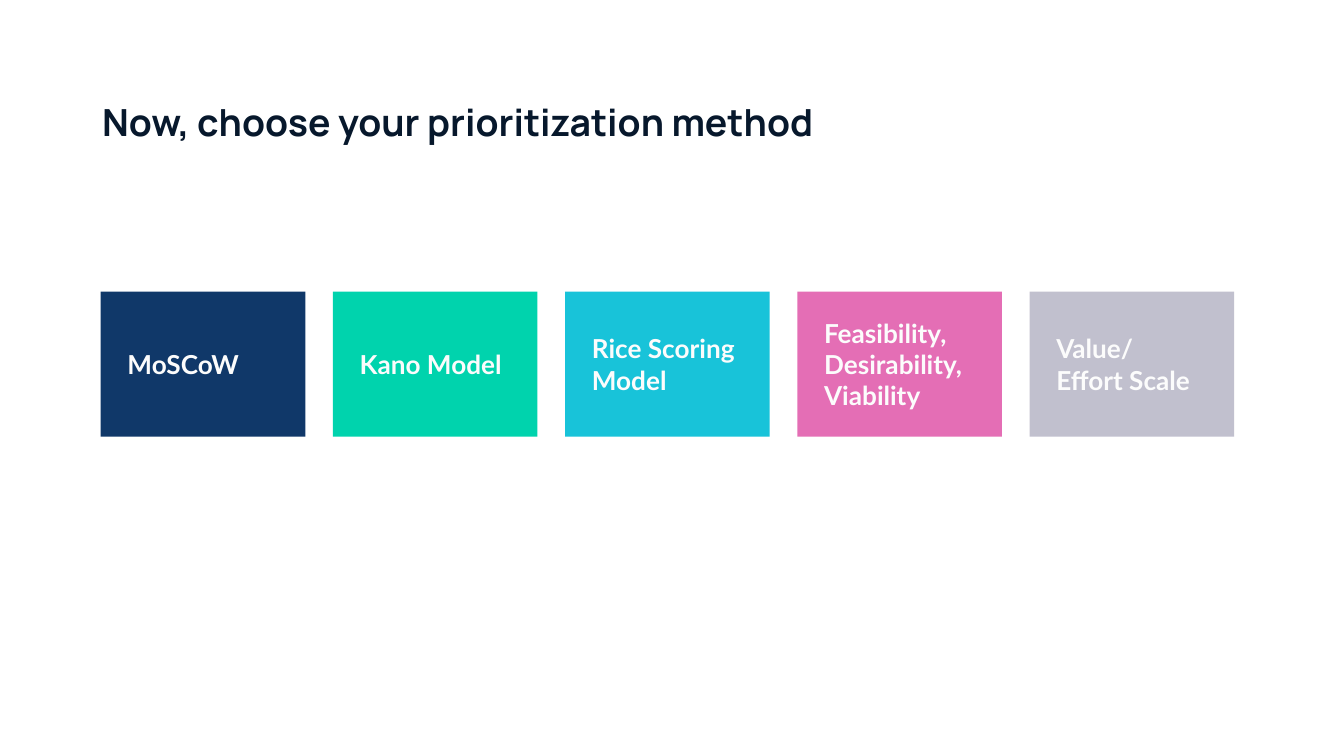
from pptx import Presentation
from pptx.dml.color import RGBColor
from pptx.enum import shapes, text
from pptx.util import Pt

HUES = {
    "ink": "07182C", "pale": "FCFCFC", "navy": "103869", "green": "00D3AD",
    "cyan": "18C3D9", "pink": "E46EB5", "grey": "C1C0CE",
}
HEAD = {"name": "Manrope", "size": Pt(20), "bold": True}
LABEL = {"name": "Lato", "size": Pt(14), "bold": True}
CARDS = [
    ("navy", ["MoSCoW"]),
    ("green", ["Kano Model"]),
    ("cyan", ["Rice Scoring Model"]),
    ("pink", ["Feasibility, Desirability, Viability"]),
    ("grey", ["Value/", "Effort Scale"]),
]


def tint(hue):
    return RGBColor.from_string(HUES[hue])


def set_all(item, values):
    for key, value in values.items():
        setattr(item, key, value)


def write(frame, lines, style, hue, anchor, para):
    """Fill a text frame with evenly styled paragraphs."""
    sides = ("left", "top", "right", "bottom")
    set_all(frame, {f"margin_{side}": Pt(7.2) for side in sides})
    set_all(frame, {"word_wrap": True, "vertical_anchor": anchor,
                    "auto_size": text.MSO_AUTO_SIZE.NONE})
    for i, line in enumerate(lines):
        par = frame.add_paragraph() if i else frame.paragraphs[0]
        run = par.add_run()
        run.text = line
        set_all(par, {"alignment": text.PP_ALIGN.LEFT, **para})
        set_all(run.font, style)
        run.font.color.rgb = tint(hue)


def add_title(slide, box, words):
    title = slide.shapes.title
    set_all(title, dict(zip(("left", "top", "width", "height"), map(Pt, box))))
    write(title.text_frame, [words], HEAD, "ink", text.MSO_ANCHOR.TOP,
          {"line_spacing": 1.15, "space_before": Pt(0), "space_after": Pt(6)})


def add_card(slide, box, hue, lines):
    card = slide.shapes.add_shape(shapes.MSO_SHAPE.RECTANGLE, *map(Pt, box))
    card.shadow.inherit = False
    card.fill.solid()
    card.fill.fore_color.rgb = tint(hue)
    card.line.fill.background()
    write(card.text_frame, lines, LABEL, "pale", text.MSO_ANCHOR.MIDDLE, {})
    # Indent the labels
    for par in card.text_frame.paragraphs:
        props = par._p.get_or_add_pPr()
        props.set("marL", str(Pt(7.2)))
        props.set("indent", "0")


def add_row(slide, box, cards, wide):
    """Spread cards of one width evenly across the box."""
    left, top, width, high = box
    step = (width - wide) / (len(cards) - 1)
    for i, (hue, lines) in enumerate(cards):
        add_card(slide, (left + i * step, top, wide, high), hue, lines)


def main():
    deck = Presentation()
    set_all(deck, {"slide_width": Pt(720), "slide_height": Pt(405)})
    slide = deck.slides.add_slide(deck.slide_layouts[5])

    # Heading
    add_title(slide, (47.5, 42.5, 624, 34),
              "Now, choose your prioritization method")
    # Row of methods
    add_row(slide, (54, 156.3, 607.2, 77.6), CARDS, 109.6)

    deck.save("out.pptx")


if __name__ == "__main__":
    main()
